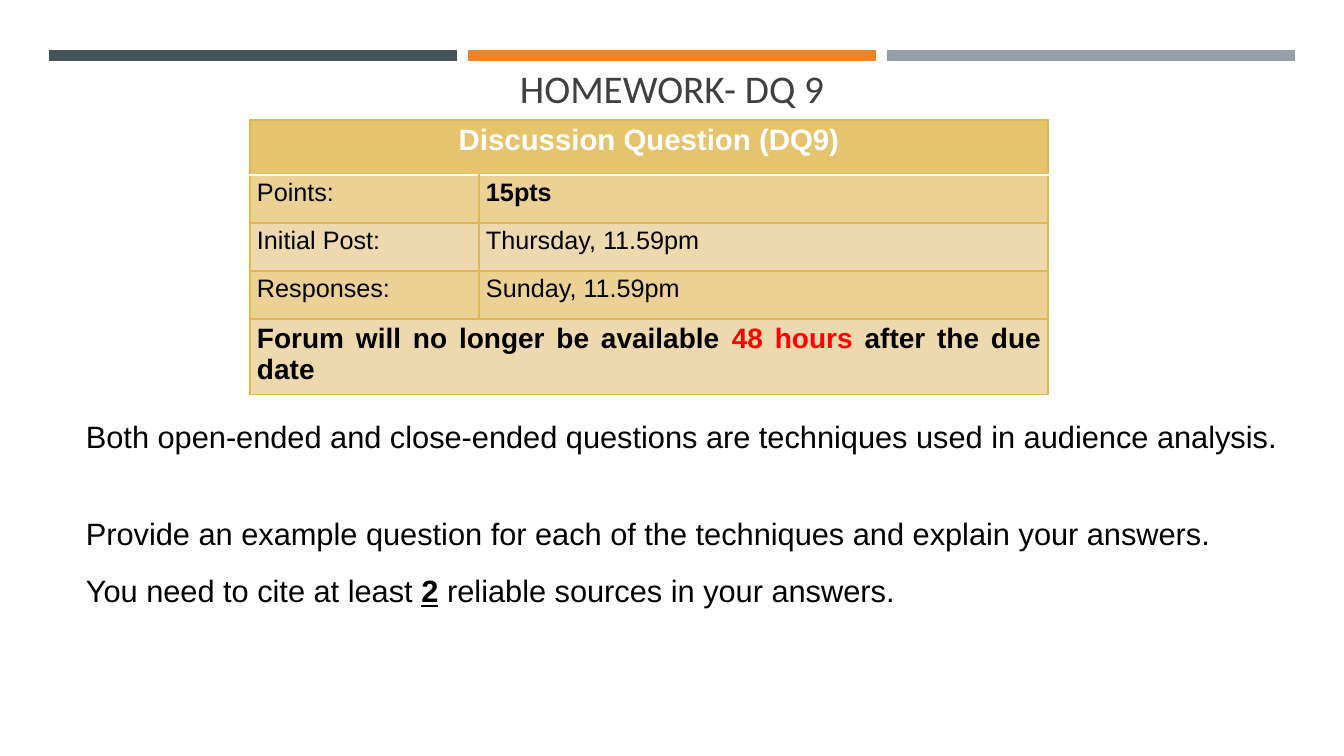
from lxml import etree
from pptx import Presentation
from pptx.dml.color import RGBColor
from pptx.enum.shapes import MSO_SHAPE
from pptx.enum.text import MSO_ANCHOR, MSO_AUTO_SIZE, PP_ALIGN
from pptx.oxml.ns import qn
from pptx.util import Emu, Pt

RECTANGLE = MSO_SHAPE.RECTANGLE
BOTTOM = MSO_ANCHOR.BOTTOM
NO_AUTOFIT = MSO_AUTO_SIZE.NONE
LEFT, CENTER, JUSTIFY = PP_ALIGN.LEFT, PP_ALIGN.CENTER, PP_ALIGN.JUSTIFY
EMU_PER_PX = 12192000 / 1344
COLORS = {
    "slate": "465359", "orange": "ED8428", "grey": "969FA7",
    "title": "404040", "black": "000000", "white": "FFFFFF", "red": "FF0000",
    "header": "E6C46D", "dark_band": "EBD194", "light_band": "EED9AE",
    "border": "E1B850",
}


def px(*lengths):
    return [Emu(round(length * EMU_PER_PX)) for length in lengths]


def add_spans(para, spans, size, align):
    para.alignment = align
    for text, bold, color in spans:
        span = para.add_run()
        span.text = text
        span.font.name = "Arial"
        span.font.size = Pt(size)
        span.font.bold = bold
        span.font.color.rgb = RGBColor.from_string(COLORS[color])


deck = Presentation()
deck.slide_width, deck.slide_height = px(1344, 756)
page = deck.slides.add_slide(deck.slide_layouts[5])

for index, color in enumerate(["slate", "orange", "grey"]):
    bar = page.shapes.add_shape(RECTANGLE, *px(49 + index * 419, 50, 408, 11))
    bar.shadow.inherit = False
    bar.fill.solid()
    bar.fill.fore_color.rgb = RGBColor.from_string(COLORS[color])
    bar.line.fill.background()

title = page.shapes.title
title.left, title.top, title.width, title.height = px(64, 58, 1216, 58)
title.text_frame.text = "HOMEWORK- DQ 9"
title.text_frame.auto_size = NO_AUTOFIT
title.text_frame.vertical_anchor = BOTTOM
title_para = title.text_frame.paragraphs[0]
title_para.alignment = CENTER
title_font = title_para.runs[0].font
title_font.name = "Calibri"
title_font.size = Pt(28)
title_font.color.rgb = RGBColor.from_string(COLORS["title"])

body = page.shapes.add_textbox(*px(76, 410, 1216, 329)).text_frame
body.word_wrap = True
body_paragraphs = [
    ([("Both open-ended and close-ended questions are techniques used in audience analysis.", False, "black")], 36),
    ([("Provide an example question for each of the techniques and explain your answers.", False, "black")], 8),
    ([("You need to cite at least ", False, "black"), ("2", True, "black"),
      (" reliable sources in your answers.", False, "black")], 8),
]
for index, (spans, space_after) in enumerate(body_paragraphs):
    para = body.add_paragraph() if index else body.paragraphs[0]
    add_spans(para, spans, 22, JUSTIFY)
    para.line_spacing = 1.07
    para.space_before = Pt(5)
    para.space_after = Pt(space_after)
body.paragraphs[2].runs[1].font.underline = True

row_heights = px(55, 48, 48, 48, 70)
column_widths = px(229, 569)
table = page.shapes.add_table(5, 2, *px(250, 120, 798, 269)).table
for row, height in zip(table.rows, row_heights):
    row.height = height
for column, width in zip(table.columns, column_widths):
    column.width = width

table_rows = [
    ("header", 21, CENTER, [[("Discussion Question (DQ9)", True, "white")]]),
    ("dark_band", 18, LEFT, [[("Points:", False, "black")], [("15pts", True, "black")]]),
    ("light_band", 18, LEFT, [[("Initial Post:", False, "black")], [("Thursday, 11.59pm", False, "black")]]),
    ("dark_band", 18, LEFT, [[("Responses:", False, "black")], [("Sunday, 11.59pm", False, "black")]]),
    ("light_band", 20, JUSTIFY, [[("Forum will no longer be available ", True, "black"),
                                  ("48 hours ", True, "red"), ("after the due date", True, "black")]]),
]
for row_index, (fill, size, align, contents) in enumerate(table_rows):
    if len(contents) == 1:
        table.cell(row_index, 0).merge(table.cell(row_index, 1))
    for column_index in range(2):
        cell = table.cell(row_index, column_index)
        cell.margin_left, cell.margin_top, cell.margin_right, cell.margin_bottom = px(7, 4, 7, 4)
        cell_properties = cell._tc.get_or_add_tcPr()
        for side in ["L", "R", "T", "B"]:
            under_header = (row_index, side) in [(0, "B"), (1, "T")]
            line = etree.SubElement(cell_properties, qn(f"a:ln{side}"), w=str(Pt(1.75 if under_header else 1)))
            line_fill = etree.SubElement(line, qn("a:solidFill"))
            etree.SubElement(line_fill, qn("a:srgbClr"), val=COLORS["white" if under_header else "border"])
        cell.fill.solid()
        cell.fill.fore_color.rgb = RGBColor.from_string(COLORS[fill])
        if column_index < len(contents):
            add_spans(cell.text_frame.paragraphs[0], contents[column_index], size, align)

deck.save("out.pptx")
